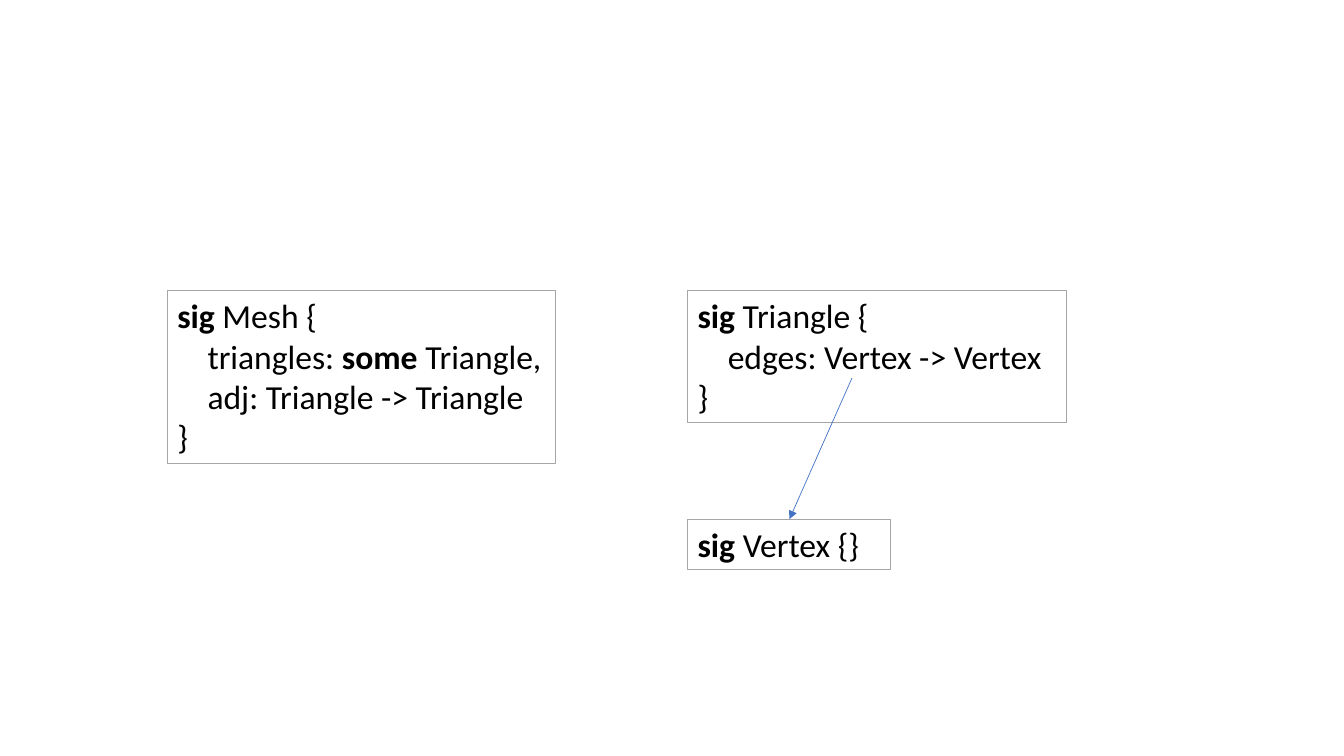
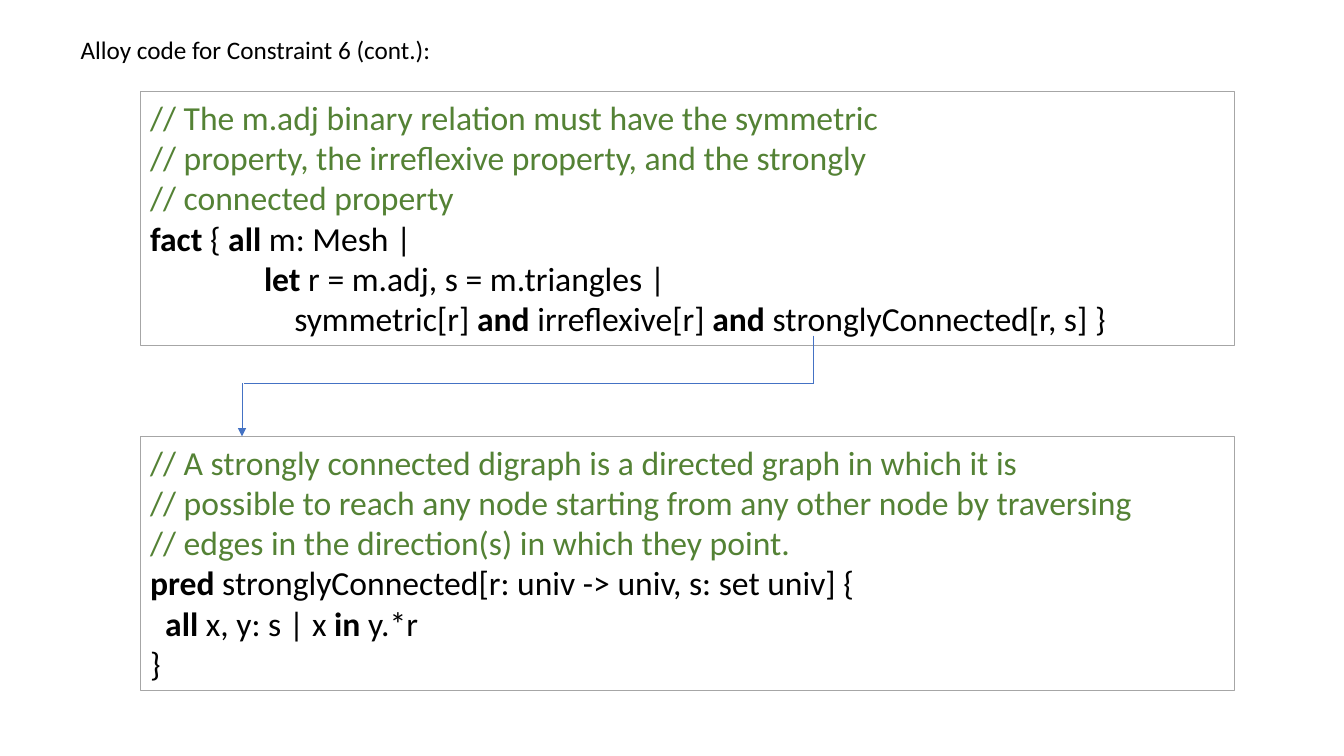
"""Build two slides of Alloy code boxes joined by arrows."""
from typing import NamedTuple

from lxml import etree
from pptx import Presentation
from pptx import util as u
from pptx.dml.color import RGBColor
from pptx.enum import shapes, text
from pptx.oxml.ns import qn

EMU_PER_PX = 9144
FONT = "Calibri"
CODE_SIZE = 24
CAPTION_SIZE = 18
COLORS = {"code": "000000", "comment": "548235", "border": "A6A6A6", "arrow": "4472C4"}


class Line(NamedTuple):
    """One line of code, with keywords between backticks."""
    code: str
    indent: int = 0


class CodeBox(NamedTuple):
    """A bordered box of code."""
    left: int
    top: int
    width: int
    height: int
    lines: list[Line]


class Link(NamedTuple):
    """A straight line through two points."""
    start: tuple[int, int]
    end: tuple[int, int]
    arrow: bool = False


class Caption(NamedTuple):
    """A plain line of text above the code."""
    left: int
    top: int
    width: int
    height: int
    words: str


class SlidePlan(NamedTuple):
    """Everything on one slide."""
    boxes: list[CodeBox]
    links: list[Link]
    captions: list[Caption]


MESH_TOP = 288
TRIANGLE_LEFT = 682
VERTEX_TOP = 515
WIDE_LEFT, WIDE_WIDTH, WIDE_HEIGHT = 139, 1085, 252
PRED_TOP = 433
ELBOW_X, ELBOW_Y = 807, 380

PLANS = [
    SlidePlan(
        boxes=[
            CodeBox(166, MESH_TOP, 385, 172, [
                Line("`sig` Mesh {"),
                Line("triangles: `some` Triangle,", 30),
                Line("adj: Triangle -> Triangle", 30),
                Line("}"),
            ]),
            CodeBox(TRIANGLE_LEFT, MESH_TOP, 376, 131, [
                Line("`sig` Triangle {"),
                Line("edges: Vertex -> Vertex", 30),
                Line("}"),
            ]),
            CodeBox(TRIANGLE_LEFT, VERTEX_TOP, 201, 50, [Line("`sig` Vertex {}")]),
        ],
        links=[Link((845, 375), (783, VERTEX_TOP), arrow=True)],
        captions=[],
    ),
    SlidePlan(
        boxes=[
            CodeBox(WIDE_LEFT, 91, WIDE_WIDTH, WIDE_HEIGHT, [
                Line("// The m.adj binary relation must have the symmetric"),
                Line("// property, the irreflexive property, and the strongly"),
                Line("// connected property"),
                Line("`fact` { `all` m: Mesh |"),
                Line("`let` r = m.adj, s = m.triangles |", 113),
                Line("symmetric[r] `and` irreflexive[r] `and` stronglyConnected[r, s] }", 143),
            ]),
            CodeBox(WIDE_LEFT, PRED_TOP, WIDE_WIDTH, WIDE_HEIGHT, [
                Line("// A strongly connected digraph is a directed graph in which it is"),
                Line("// possible to reach any node starting from any other node by traversing"),
                Line("// edges in the direction(s) in which they point."),
                Line("`pred` stronglyConnected[r: univ -> univ, s: set univ] {"),
                Line("`all` x, y: s | x `in` y.*r", 15),
                Line("}"),
            ]),
        ],
        links=[
            Link((ELBOW_X, 333), (ELBOW_X, ELBOW_Y)),
            Link((ELBOW_X, ELBOW_Y), (242, ELBOW_Y)),
            Link((240, ELBOW_Y), (240, PRED_TOP), arrow=True),
        ],
        captions=[Caption(70, 29, 371, 40, "Alloy code for Constraint 6 (cont.):")],
    ),
]


def px(length: int) -> u.Emu:
    """Turn px into EMU."""
    return u.Emu(length * EMU_PER_PX)


def color(name: str) -> RGBColor:
    """Look up a named colour."""
    return RGBColor.from_string(COLORS[name])


def add_span(para, words: str, size: int, color_name: str, bold: bool = False) -> None:
    """Add one styled run."""
    span = para.add_run()
    span.text = words
    span.font.name = FONT
    span.font.size = u.Pt(size)
    span.font.bold = bold
    span.font.color.rgb = color(color_name)


def write_line(para, line: Line) -> None:
    """Write a line of code, with its keywords in bold."""
    para.alignment = text.PP_ALIGN.LEFT
    if line.indent:
        para._p.get_or_add_pPr().set("marL", str(px(line.indent)))
    color_name = "comment" if line.code.startswith("//") else "code"
    for index, words in enumerate(line.code.split("`")):
        if words:
            add_span(para, words, CODE_SIZE, color_name, bold=index % 2 == 1)


def draw_box(page, plan: CodeBox) -> None:
    """Draw a bordered box and its code."""
    box = page.shapes.add_shape(
        shapes.MSO_SHAPE.RECTANGLE,
        px(plan.left), px(plan.top), px(plan.width), px(plan.height))
    box.shadow.inherit = False
    box.fill.background()
    box.line.color.rgb = color("border")
    box.line.width = u.Pt(0.75)
    frame = box.text_frame
    frame.word_wrap = True
    frame.auto_size = text.MSO_AUTO_SIZE.SHAPE_TO_FIT_TEXT
    frame.vertical_anchor = text.MSO_ANCHOR.TOP
    for index, line in enumerate(plan.lines):
        write_line(frame.add_paragraph() if index else frame.paragraphs[0], line)


def draw_link(page, plan: Link) -> None:
    """Draw a line, with an arrowhead if it has one."""
    link = page.shapes.add_connector(
        shapes.MSO_CONNECTOR.STRAIGHT, *map(px, plan.start + plan.end))
    link.line.color.rgb = color("arrow")
    link.line.width = u.Pt(0.5)
    if plan.arrow:
        etree.SubElement(link.line._get_or_add_ln(), qn("a:tailEnd"), type="triangle")
    etree.SubElement(link._element.spPr, qn("a:effectLst"))


def draw_caption(page, plan: Caption) -> None:
    """Draw a caption."""
    box = page.shapes.add_textbox(
        px(plan.left), px(plan.top), px(plan.width), px(plan.height))
    frame = box.text_frame
    frame.word_wrap = False
    frame.auto_size = text.MSO_AUTO_SIZE.SHAPE_TO_FIT_TEXT
    add_span(frame.paragraphs[0], plan.words, CAPTION_SIZE, "code")


def main() -> None:
    """Build and save the deck."""
    deck = Presentation()
    deck.slide_width, deck.slide_height = px(1333), px(750)
    for plan in PLANS:
        page = deck.slides.add_slide(deck.slide_layouts[6])
        for box in plan.boxes:
            draw_box(page, box)
        for link in plan.links:
            draw_link(page, link)
        for caption in plan.captions:
            draw_caption(page, caption)
    deck.save("out.pptx")


if __name__ == "__main__":
    main()
